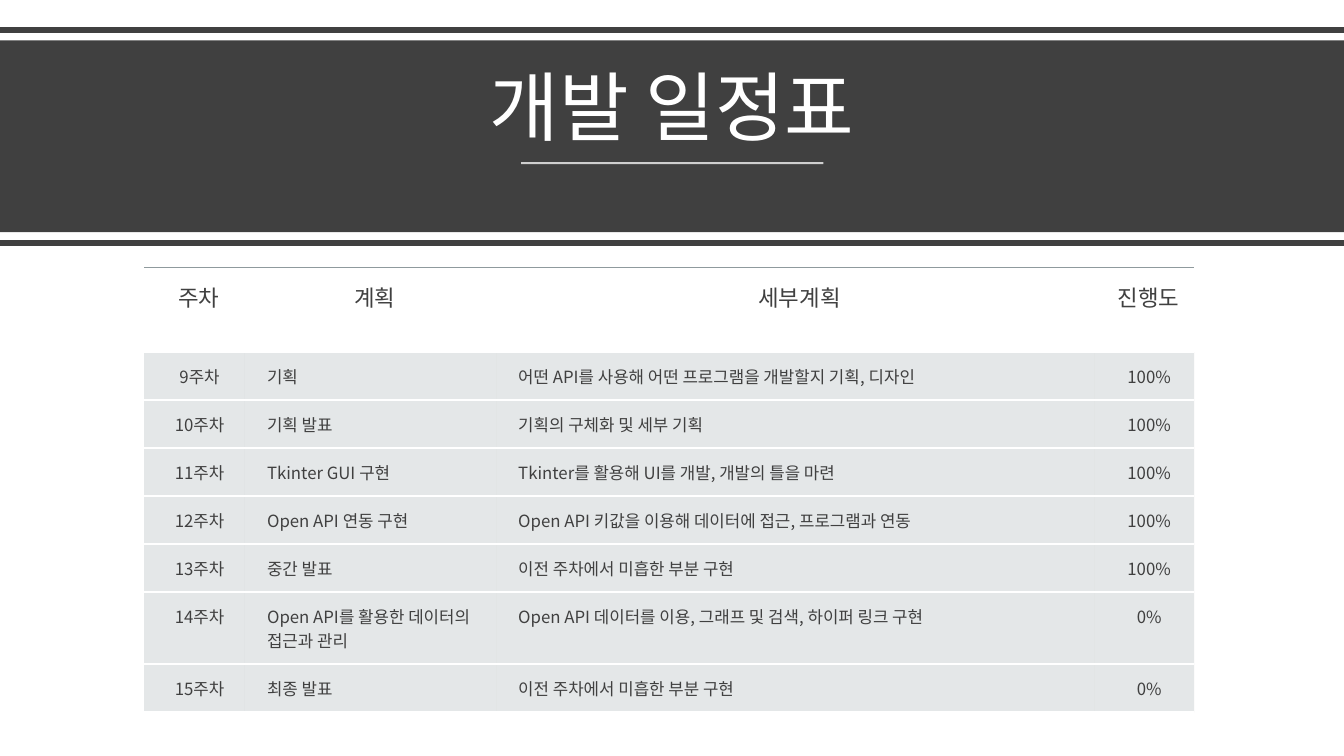
from lxml import etree
from pptx import Presentation
from pptx.dml.color import RGBColor
from pptx.enum import shapes, text
from pptx.oxml import ns
from pptx.util import Cm, Pt

# Content
TITLE = "개발 일정표"
HEADER = ("주차", "계획", "세부계획", "진행도")
SCHEDULE = [
    ("9주차", "기획", "어떤 API를 사용해 어떤 프로그램을 개발할지 기획, 디자인", "100%"),
    ("10주차", "기획 발표", "기획의 구체화 및 세부 기획", "100%"),
    ("11주차", "Tkinter GUI 구현", "Tkinter를 활용해 UI를 개발, 개발의 틀을 마련", "100%"),
    ("12주차", "Open API 연동 구현", "Open API 키값을 이용해 데이터에 접근, 프로그램과 연동", "100%"),
    ("13주차", "중간 발표", "이전 주차에서 미흡한 부분 구현", "100%"),
    ("14주차", "Open API를 활용한 데이터의 접근과 관리",
     "Open API 데이터를 이용, 그래프 및 검색, 하이퍼 링크 구현", "0%"),
    ("15주차", "최종 발표", "이전 주차에서 미흡한 부분 구현", "0%"),
]
CENTERED_COLUMNS = (0, 3)

# Style
FONT = "Noto Sans CJK KR"
DARK = RGBColor(0x40, 0x40, 0x40)
WHITE = RGBColor(0xFF, 0xFF, 0xFF)
ROW_GRAY = RGBColor(0xB4, 0xBC, 0xBE)
RULE_GRAY = RGBColor(0x8F, 0x9A, 0x9D)

# Layout
SLIDE_WIDTH, SLIDE_HEIGHT = Cm(33.87), Cm(19.05)
COLUMN_WIDTHS = [Cm(2.54), Cm(6.33), Cm(15.07), Cm(2.52)]
ROW_HEIGHTS = [Cm(2.13)] + [Cm(1.21)] * 5 + [Cm(1.82), Cm(1.21)]


def set_alpha(element, percent):
    color = next(element.iter(ns.qn("a:srgbClr")))
    etree.SubElement(color, ns.qn("a:alpha"), val=str(percent * 1000))


def style_paragraph(paragraph, size, color, centered):
    paragraph.alignment = text.PP_ALIGN.CENTER if centered else text.PP_ALIGN.LEFT
    for run in paragraph.runs:
        run.font.size = Pt(size)
        run.font.name = FONT
        run.font.color.rgb = color
        etree.SubElement(run.font._element, ns.qn("a:ea"), typeface=FONT)


def add_rule(slide, left, right, top, color, width):
    rule = slide.shapes.add_connector(
        shapes.MSO_CONNECTOR.STRAIGHT, left, top, right, top)
    rule.line.color.rgb = color
    rule.line.width = Pt(width)
    etree.SubElement(rule._element.spPr, ns.qn("a:effectLst"))
    return rule


def set_borders(cell, top_color, top_alpha):
    """Draw the top and bottom edges, and leave the sides open."""
    properties = cell._tc.get_or_add_tcPr()
    edges = (("L", None, 0), ("R", None, 0), ("T", top_color, top_alpha), ("B", WHITE, 100))
    for position, (side, color, alpha) in enumerate(edges):
        line = etree.Element(ns.qn("a:ln" + side), w=str(Pt(1.5)))
        if color is None:
            etree.SubElement(line, ns.qn("a:noFill"))
        else:
            fill = etree.SubElement(line, ns.qn("a:solidFill"))
            etree.SubElement(fill, ns.qn("a:srgbClr"), val=str(color))
            set_alpha(line, alpha)
        properties.insert(position, line)


def add_banner(slide):
    add_rule(slide, 0, SLIDE_WIDTH, Cm(0.76), DARK, 4)
    band = slide.shapes.add_shape(
        shapes.MSO_SHAPE.RECTANGLE, 0, Cm(1.02), SLIDE_WIDTH, Cm(4.83))
    band.shadow.inherit = False
    band.fill.solid()
    band.fill.fore_color.rgb = DARK
    band.line.fill.background()

    title = slide.shapes.add_textbox(Cm(1.47), Cm(1.37), Cm(30.94), Cm(2.59))
    frame = title.text_frame
    frame.word_wrap = True
    frame.vertical_anchor = text.MSO_ANCHOR.BOTTOM
    frame.text = TITLE
    frame.paragraphs[0].line_spacing = 0.9
    style_paragraph(frame.paragraphs[0], 54, WHITE, True)

    underline = add_rule(slide, Cm(13.13), Cm(20.75), Cm(4.11), WHITE, 1.5)
    set_alpha(underline._element, 75)
    add_rule(slide, 0, SLIDE_WIDTH, Cm(6.12), DARK, 4)


def add_schedule(slide):
    rows = [HEADER] + SCHEDULE
    table = slide.shapes.add_table(
        len(rows), len(HEADER), Cm(3.63), Cm(6.74),
        sum(COLUMN_WIDTHS), sum(ROW_HEIGHTS)).table
    table.horz_banding = False
    table.first_row = False
    for column, width in zip(table.columns, COLUMN_WIDTHS):
        column.width = width
    for row, height in zip(table.rows, ROW_HEIGHTS):
        row.height = height

    for row_index, values in enumerate(rows):
        is_header = row_index == 0
        for column_index, value in enumerate(values):
            cell = table.cell(row_index, column_index)
            cell.text_frame.text = value
            cell.margin_left = Cm(0.56)
            cell.margin_right = cell.margin_top = cell.margin_bottom = Cm(
                0.33 if is_header else 0.3)
            style_paragraph(cell.text_frame.paragraphs[0], 16 if is_header else 12,
                            DARK, is_header or column_index in CENTERED_COLUMNS)
            if is_header:
                cell.fill.background()
                set_borders(cell, RULE_GRAY, 100)
            else:
                cell.fill.solid()
                cell.fill.fore_color.rgb = ROW_GRAY
                set_alpha(cell._tc.tcPr, 35)
                set_borders(cell, WHITE, 100)


def main():
    presentation = Presentation()
    presentation.slide_width = SLIDE_WIDTH
    presentation.slide_height = SLIDE_HEIGHT
    slide = presentation.slides.add_slide(presentation.slide_layouts[6])
    add_banner(slide)
    add_schedule(slide)
    presentation.save("out.pptx")


if __name__ == "__main__":
    main()
